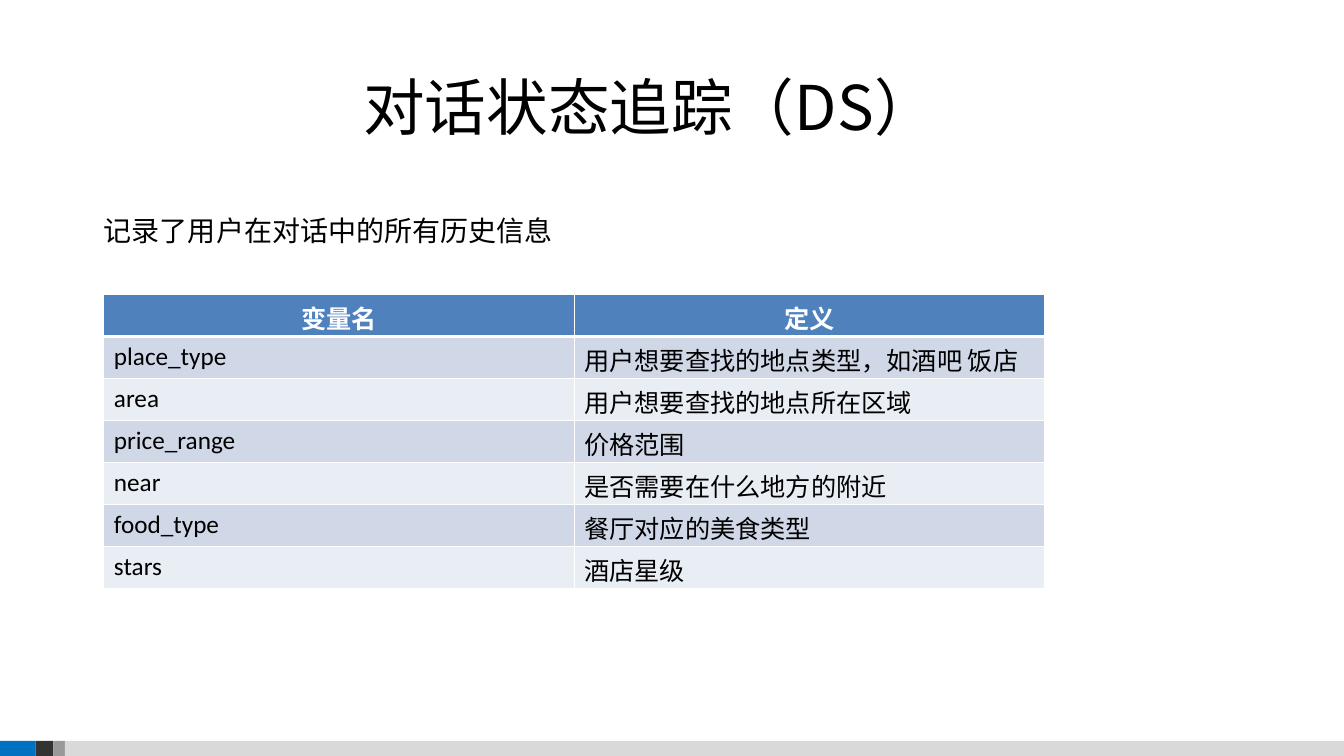
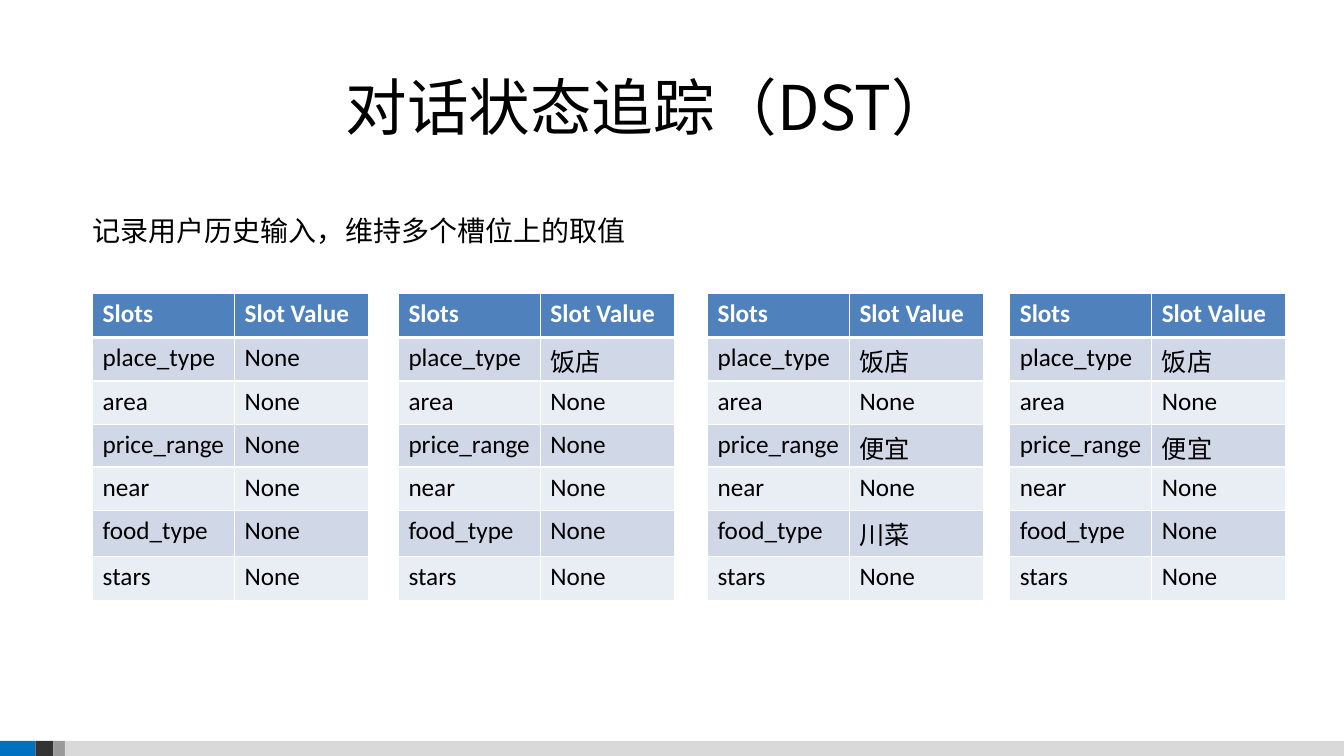
from lxml import etree
from pptx import Presentation
from pptx.dml.color import RGBColor
from pptx.enum.shapes import MSO_SHAPE
from pptx.enum.text import PP_ALIGN
from pptx.oxml.ns import qn
from pptx.util import Pt

RECT = MSO_SHAPE.RECTANGLE
LEFT, CENTER = PP_ALIGN.LEFT, PP_ALIGN.CENTER

# Shared style
WIDE, HIGH = 960, 540
CJK, LATIN = "Noto Sans CJK SC", "Calibri"
BLACK, WHITE = "000000", "FFFFFF"
HEAD, BANDS = "4F81BD", ("D0D8E8", "E9EDF4")
BAND_TOP = 529.2
BAND = [(0, "0070C0"), (25.2, "333333"), (38.2, "999999"), (46.4, "D9D9D9")]
SLOTS = ["place_type", "area", "price_range", "near", "food_type", "stars"]


def color(code):
    return RGBColor.from_string(code)


def style(para, size, face, code=BLACK, bold=False, align=LEFT):
    para.alignment = align
    for run in para.runs:
        font = run.font
        font.size, font.name, font.bold = Pt(size), face, bold
        font.color.rgb = color(code)
        east = etree.SubElement(run._r.get_or_add_rPr(), qn("a:ea"))
        east.set("typeface", CJK)


def add_text(slide, box, text, size, align=LEFT, before=0):
    frame = slide.shapes.add_textbox(*map(Pt, box)).text_frame
    frame.word_wrap = True
    frame.margin_left = frame.margin_right = frame.margin_bottom = 0
    frame.margin_top = Pt(0.72)
    frame.text = text
    para = frame.paragraphs[0]
    para.space_before = Pt(before)
    style(para, size, CJK, align=align)


def add_band(slide):
    ends = [left for left, _ in BAND[1:]] + [WIDE]
    for (left, code), end in zip(BAND, ends):
        part = slide.shapes.add_shape(
            RECT, Pt(left), Pt(BAND_TOP), Pt(end - left), Pt(HIGH - BAND_TOP))
        part.shadow.inherit = False
        part.fill.solid()
        part.fill.fore_color.rgb = color(code)
        part.line.fill.background()


def add_edges(cell, top, bottom):
    props = cell._tc.get_or_add_tcPr()
    for side, width in (("L", 1), ("R", 1), ("T", top), ("B", bottom)):
        line = etree.SubElement(props, qn("a:ln" + side), w=str(Pt(width)))
        fill = etree.SubElement(line, qn("a:solidFill"))
        etree.SubElement(fill, qn("a:srgbClr"), val=WHITE)


def fill_cell(cell, text, row, align):
    first = row == 0
    # A thick rule parts the header from the body
    add_edges(cell, 3 if row == 1 else 1, 3 if first else 1)
    cell.fill.solid()
    cell.fill.fore_color.rgb = color(HEAD if first else BANDS[(row - 1) % 2])
    cell.margin_bottom = 0
    cell.text = text
    style(cell.text_frame.paragraphs[0], 18, LATIN, WHITE if first else BLACK,
          first, align if first else LEFT)


def add_grid(slide, left, top, cols, rows, data, align=LEFT):
    grid = slide.shapes.add_table(
        len(rows), len(cols), Pt(left), Pt(top), Pt(sum(cols)), Pt(sum(rows))).table
    for col, width in zip(grid.columns, cols):
        col.width = Pt(width)
    for row, height in zip(grid.rows, rows):
        row.height = Pt(height)
    for r, line in enumerate(data):
        for c, text in enumerate(line):
            fill_cell(grid.cell(r, c), text, r, align)


def add_page(deck, title, lead, left):
    slide = deck.slides.add_slide(deck.slide_layouts[6])
    add_band(slide)
    add_text(slide, (144.7, 48.2, 638.6, 54), title, 44, CENTER, 1)
    add_text(slide, (left, 151.9, 796.3, 50), lead, 20)
    return slide


def state_page(deck):
    left = 74.2
    slide = add_page(deck, "对话状态追踪（DS）", "记录了用户在对话中的所有历史信息", left)
    notes = ["用户想要查找的地点类型，如酒吧 饭店", "用户想要查找的地点所在区域", "价格范围",
             "是否需要在什么地方的附近", "餐厅对应的美食类型", "酒店星级"]
    data = [("变量名", "定义"), *zip(SLOTS, notes)]
    add_grid(slide, left, 210.4, [336] * 2, [30] * 7, data, CENTER)


def track_page(deck):
    left = 66.2
    slide = add_page(deck, "对话状态追踪（DST）", "记录用户历史输入，维持多个槽位上的取值", left)
    rows = [31.6, 31, 31, 30.5, 31, 33.2, 31]
    # Slots filled at each turn of the dialogue
    turns = [
        (left, {}),
        (284.6, {"place_type": "饭店"}),
        (505.4, {"place_type": "饭店", "price_range": "便宜", "food_type": "川菜"}),
        (721.3, {"place_type": "饭店", "price_range": "便宜"}),
    ]
    for start, known in turns:
        data = [("Slots", "Slot Value")]
        data += [(slot, known.get(slot, "None")) for slot in SLOTS]
        add_grid(slide, start, 209.6, [101.4, 95.7], rows, data)


deck = Presentation()
deck.slide_width, deck.slide_height = Pt(WIDE), Pt(HIGH)
state_page(deck)
track_page(deck)
deck.save("out.pptx")
